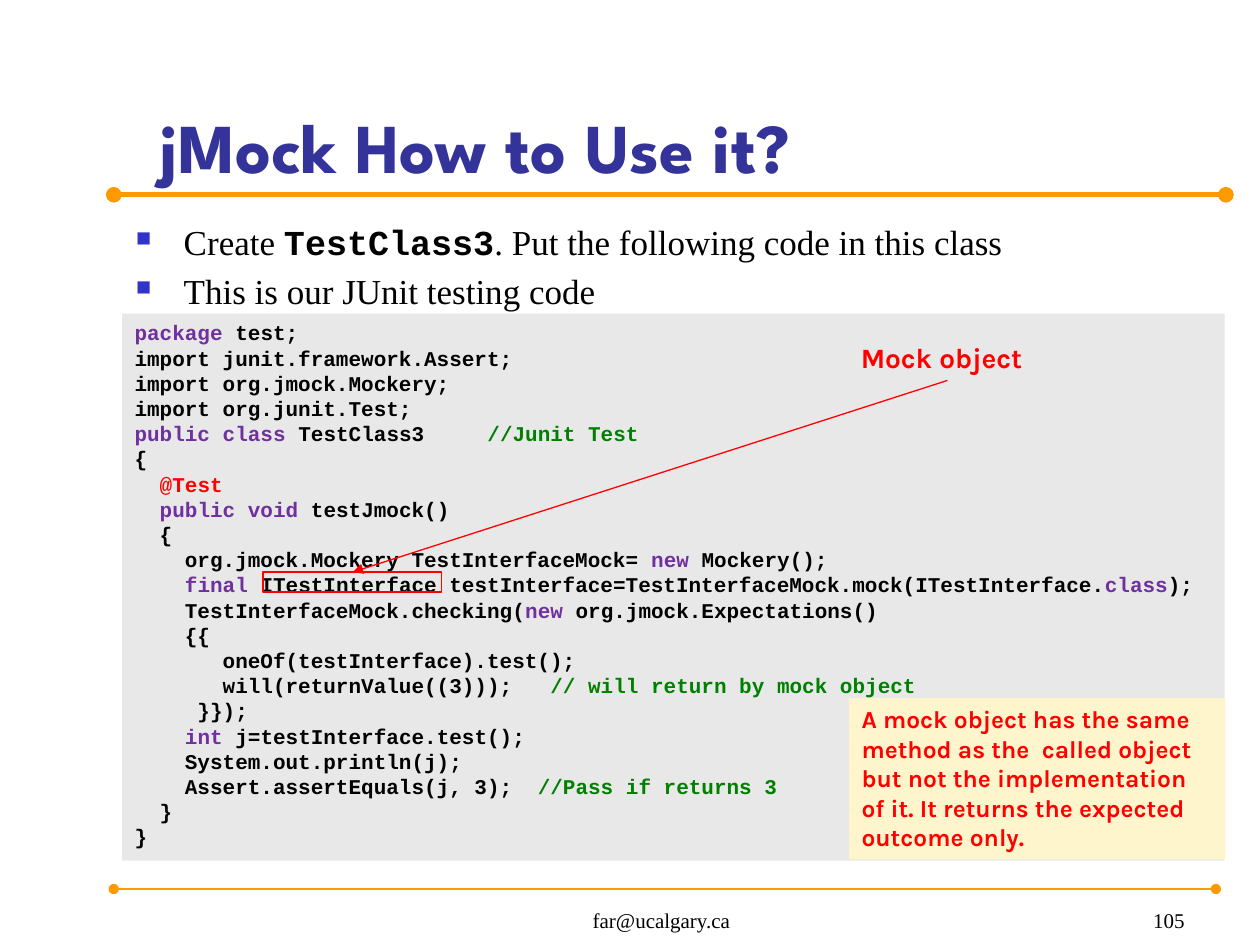
from lxml import etree
from pptx import Presentation
from pptx.dml.color import RGBColor
from pptx.enum.shapes import MSO_CONNECTOR as Connector, MSO_SHAPE as Shape
from pptx.enum.text import MSO_ANCHOR as Anchor, PP_ALIGN as Align
from pptx.oxml.ns import qn
from pptx.util import Pt

BLACK, RED, ORANGE = "000000", "FF0000", "FF9900"
KEYWORD, COMMENT = "7030A0", "008000"
SERIF, MONO, SANS = "Times New Roman", "Courier New", "Karla"

# Each line is a list of parts: plain text, or (text, colour).
CODE = [
    [("package", KEYWORD), " test;"],
    ["import junit.framework.Assert;"],
    ["import org.jmock.Mockery;"],
    ["import org.junit.Test;"],
    [("public class ", KEYWORD), "TestClass3     ", ("//Junit Test", COMMENT)],
    ["{"],
    ["  ", ("@Test", RED)],
    ["  ", ("public void ", KEYWORD), "testJmock()"],
    ["  {"],
    ["    org.jmock.Mockery TestInterfaceMock= ", ("new", KEYWORD), " Mockery();"],
    ["    ", ("final ", KEYWORD),
     "ITestInterface testInterface=TestInterfaceMock.mock(ITestInterface.",
     ("class", KEYWORD), ");"],
    ["    TestInterfaceMock.checking(", ("new ", KEYWORD), "org.jmock.Expectations()"],
    ["    {{"],
    ["       oneOf(testInterface).test();"],
    ["       will(returnValue((3)));   ", ("// will return by mock object", COMMENT)],
    ["     }});"],
    ["    ", ("int", KEYWORD), " j=testInterface.test();"],
    ["    System.out.println(j);"],
    ["    Assert.assertEquals(j, 3);  ", ("//Pass if returns 3", COMMENT)],
    ["  }"],
    ["}"],
]


def color(hex_value):
    return RGBColor.from_string(hex_value)


def style(font, name, size, hex_value, bold=False):
    font.name, font.size, font.bold = name, Pt(size), bold
    font.color.rgb = color(hex_value)


def add_run(paragraph, text, *font_style):
    run = paragraph.add_run()
    run.text = text
    style(run.font, *font_style)


def add_text(slide, box, text, *font_style, anchor=Anchor.TOP, align=Align.LEFT, wrap=True):
    shape = slide.shapes.add_textbox(*map(Pt, box))
    frame = shape.text_frame
    frame.word_wrap = wrap
    frame.vertical_anchor = anchor
    frame.text = text
    paragraph = frame.paragraphs[0]
    paragraph.alignment = align
    style(paragraph.runs[0].font, *font_style)
    return shape


def add_bullet(paragraph):
    """Give the paragraph a hanging square bullet."""
    properties = paragraph._p.get_or_add_pPr()
    properties.set("marL", str(Pt(27.4)))
    properties.set("indent", str(-Pt(27.4)))
    bullet_color = etree.SubElement(properties, qn("a:buClr"))
    etree.SubElement(bullet_color, qn("a:srgbClr"), val="3333CC")
    etree.SubElement(properties, qn("a:buSzPct"), val="60000")
    etree.SubElement(properties, qn("a:buChar"), char="■")


def add_bullets(slide, box, items):
    frame = slide.shapes.add_textbox(*map(Pt, box)).text_frame
    frame.word_wrap = True
    for index, parts in enumerate(items):
        paragraph = frame.add_paragraph() if index else frame.paragraphs[0]
        if index:
            paragraph.space_before = Pt(4)
        add_bullet(paragraph)
        for text, name, bold in parts:
            add_run(paragraph, text, name, 20, BLACK, bold)


def add_code(slide, box, lines):
    shape = slide.shapes.add_textbox(*map(Pt, box))
    shape.fill.solid()
    shape.fill.fore_color.rgb = color("E8E8E8")
    frame = shape.text_frame
    frame.word_wrap = True
    frame.vertical_anchor = Anchor.TOP
    for index, parts in enumerate(lines):
        paragraph = frame.add_paragraph() if index else frame.paragraphs[0]
        paragraph.line_spacing = Pt(14.4)
        for part in parts:
            text, hex_value = (part, BLACK) if isinstance(part, str) else part
            add_run(paragraph, text, MONO, 12, hex_value, True)


def add_frame(slide, box, hex_value):
    """Add an unfilled outline around a piece of code."""
    shape = slide.shapes.add_shape(Shape.RECTANGLE, *map(Pt, box))
    shape.shadow.inherit = False
    shape.fill.background()
    shape.line.color.rgb = color(hex_value)
    shape.line.width = Pt(1)


def add_line(slide, ends, hex_value, width, head=None, tail=None):
    line = slide.shapes.add_connector(Connector.STRAIGHT, *map(Pt, ends))
    line.line.color.rgb = color(hex_value)
    line.line.width = Pt(width)
    outline = line.line._get_or_add_ln()
    for tag, kind in (("a:headEnd", head), ("a:tailEnd", tail)):
        if kind:
            etree.SubElement(outline, qn(tag), type=kind)
    etree.SubElement(line._element.spPr, qn("a:effectLst"))


def main():
    presentation = Presentation()
    presentation.slide_width, presentation.slide_height = Pt(720), Pt(540)
    slide = presentation.slides.add_slide(presentation.slide_layouts[6])

    add_line(slide, (65, 111.3, 700.5, 111.3), ORANGE, 3, "oval", "oval")
    add_line(slide, (65, 508, 694.8, 508), ORANGE, 1.5, "oval", "oval")
    add_text(slide, (84, 20.4, 620, 90), "jMock How to Use it?",
             "League Spartan", 40, "333399", True, anchor=Anchor.BOTTOM)
    add_bullets(slide, (70.5, 122.6, 630, 54), [
        [("Create ", SERIF, False), ("TestClass3", MONO, True),
         (". Put the following code in this class", SERIF, False)],
        [("This is our JUnit testing code", SERIF, False)],
    ])
    add_text(slide, (264, 505, 228, 31.5), "far@ucalgary.ca", SERIF, 12, BLACK,
             anchor=Anchor.BOTTOM, align=Align.CENTER)
    add_text(slide, (534, 505, 150, 31.5), "105", SERIF, 12, BLACK,
             anchor=Anchor.BOTTOM, align=Align.RIGHT)

    add_code(slide, (69.8, 179.3, 630, 312.5), CODE)
    add_text(slide, (484.8, 190.8, 113, 26.6), "Mock object", SANS, 16, RED, True, wrap=False)
    add_frame(slide, (150.4, 326.9, 102, 11.5), RED)
    add_line(slide, (541.4, 217.4, 201.6, 326.9), RED, 0.75, tail="triangle")
    note = add_text(slide, (485.2, 398.9, 215, 92.2),
                    "A mock object has the same method as the  called object but not the "
                    "implementation of it. It returns the expected outcome only.",
                    SANS, 14, RED, True)
    note.fill.solid()
    note.fill.fore_color.rgb = color("FFF5CC")

    presentation.save("out.pptx")


if __name__ == "__main__":
    main()
